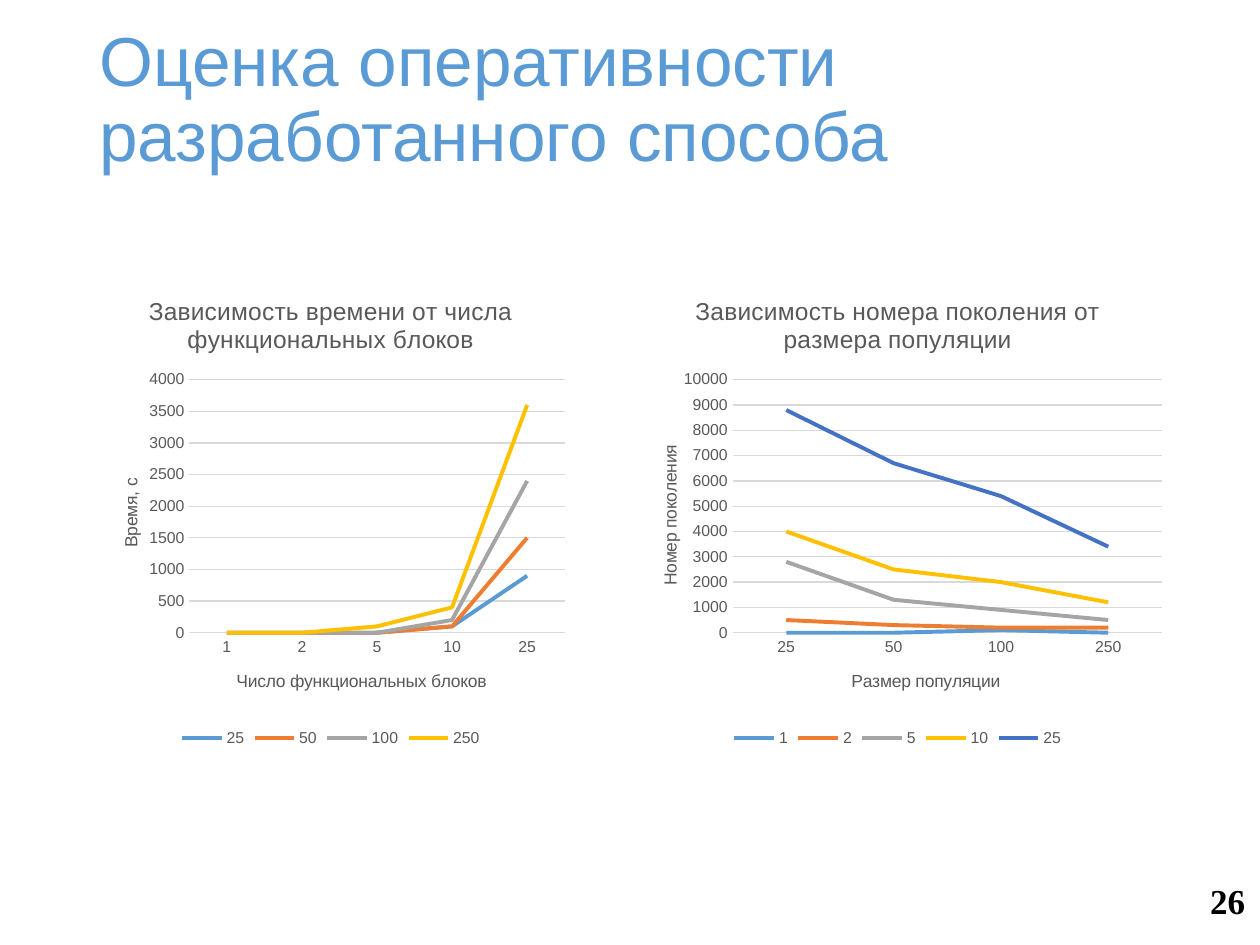
from lxml import etree
from pptx import Presentation
from pptx.chart.data import CategoryChartData
from pptx.dml.color import RGBColor
from pptx.enum import chart as charts, text
from pptx.oxml.ns import qn
from pptx.util import Inches, Pt

SERIES_COLORS = ["5B9BD5", "ED7D31", "A5A5A5", "FFC000", "4472C4"]
GRAY, GRID = "595959", "D9D9D9"


def color(hex_string):
    return RGBColor.from_string(hex_string)


def set_font(font, size, hex_string, name="Arial", bold=False):
    font.size, font.name, font.bold = Pt(size), name, bold
    font.color.rgb = color(hex_string)


def set_line(line, hex_string, width):
    line.color.rgb = color(hex_string)
    line.width = Pt(width)


def add_text(slide, box, content, size, hex_string, alignment, **font_options):
    frame = slide.shapes.add_textbox(*map(Inches, box)).text_frame
    frame.word_wrap = True
    frame.vertical_anchor = text.MSO_ANCHOR.MIDDLE
    paragraph = frame.paragraphs[0]
    paragraph.text = content
    paragraph.alignment = alignment
    set_font(paragraph.font, size, hex_string, **font_options)
    return paragraph


def set_layout(element, index, **fractions):
    """Fix an element of a chart at fractions of the chart's size."""
    for old in element.findall(qn("c:layout")):
        element.remove(old)
    layout = etree.Element(qn("c:layout"))
    manual = etree.SubElement(layout, qn("c:manualLayout"))
    settings = {"xMode": "edge", "yMode": "edge", **fractions}
    if "w" in fractions:
        settings = {"layoutTarget": "inner", **settings}
    for name, value in settings.items():
        etree.SubElement(manual, qn("c:" + name)).set("val", str(value))
    element.insert(index, layout)


def set_title(title, content, size):
    frame = title.text_frame
    frame.text = content
    set_font(frame.paragraphs[0].font, size, GRAY)
    return frame


def style_axis(axis, title, position):
    axis.major_tick_mark = axis.minor_tick_mark = charts.XL_TICK_MARK.NONE
    set_font(axis.tick_labels.font, 9, GRAY)
    frame = set_title(axis.axis_title, title, 10)
    x, y = position
    set_layout(axis.axis_title._element, 1, x=x, y=y)
    return frame


def add_line_chart(slide, box, title, category_title, value_title, categories,
                   series_values, maximum, step, plot, category_at, value_at):
    data = CategoryChartData()
    data.categories = categories
    for name, values in series_values.items():
        data.add_series(name, values)
    chart = slide.shapes.add_chart(
        charts.XL_CHART_TYPE.LINE, *map(Inches, box), data).chart
    set_font(chart.font, 10, "000000")
    set_title(chart.chart_title, title, 14)
    chart.chart_title.include_in_layout = False

    chart.has_legend = True
    chart.legend.position = charts.XL_LEGEND_POSITION.BOTTOM
    chart.legend.include_in_layout = False
    set_font(chart.legend.font, 9, GRAY)

    style_axis(chart.category_axis, category_title, category_at)
    set_line(chart.category_axis.format.line, GRID, 0.75)

    value_axis = chart.value_axis
    frame = style_axis(value_axis, value_title, value_at)
    body = frame._txBody.find(qn("a:bodyPr"))
    body.set("rot", "-5400000")
    body.set("vert", "horz")
    value_axis.minimum_scale, value_axis.maximum_scale = 0, maximum
    value_axis.major_unit = step
    value_axis.format.line.fill.background()
    set_line(value_axis.major_gridlines.format.line, GRID, 0.75)

    chart.plots[0].vary_by_categories = False
    for series, hex_string in zip(chart.plots[0].series, SERIES_COLORS):
        series.smooth = False
        set_line(series.format.line, hex_string, 2.25)
    x, y, w, h = plot
    set_layout(chart._chartSpace.chart.plotArea, 0, x=x, y=y, w=w, h=h)


def main():
    presentation = Presentation()
    presentation.slide_width, presentation.slide_height = Inches(10), Inches(7.5)
    slide = presentation.slides.add_slide(presentation.slide_layouts[6])

    heading = add_text(slide, (0.69, 0.41, 8.62, 0.79),
                       "Оценка оперативности разработанного способа",
                       39.6, "5B9BD5", text.PP_ALIGN.LEFT)
    heading.line_spacing = 0.9

    add_line_chart(
        slide, (0.69, 2.18, 3.87, 3.79),
        "Зависимость времени от числа функциональных блоков",
        "Число функциональных блоков", "Время, с",
        ["1", "2", "5", "10", "25"],
        {"25": [0, 0, 0, 100, 900],
         "50": [0, 0, 0, 100, 1500],
         "100": [0, 0, 0, 200, 2400],
         "250": [0, 0, 100, 400, 3600]},
        maximum=4000, step=500, plot=(0.21, 0.22, 0.77, 0.53),
        category_at=(0.3, 0.82), value_at=(0.06, 0.42))
    add_line_chart(
        slide, (4.94, 2.18, 4.37, 3.79),
        "Зависимость номера поколения от размера популяции",
        "Размер популяции", "Номер поколения",
        ["25", "50", "100", "250"],
        {"1": [0, 0, 100, 0],
         "2": [500, 300, 200, 200],
         "5": [2800, 1300, 900, 500],
         "10": [4000, 2500, 2000, 1200],
         "25": [8800, 6700, 5400, 3400]},
        maximum=10000, step=1000, plot=(0.2, 0.22, 0.78, 0.53),
        category_at=(0.41, 0.82), value_at=(0.06, 0.35))

    add_text(slide, (7.73, 6.95, 2.25, 0.4), "26", 20, "000000",
             text.PP_ALIGN.RIGHT, name="Times New Roman", bold=True)
    presentation.save("out.pptx")


if __name__ == "__main__":
    main()
